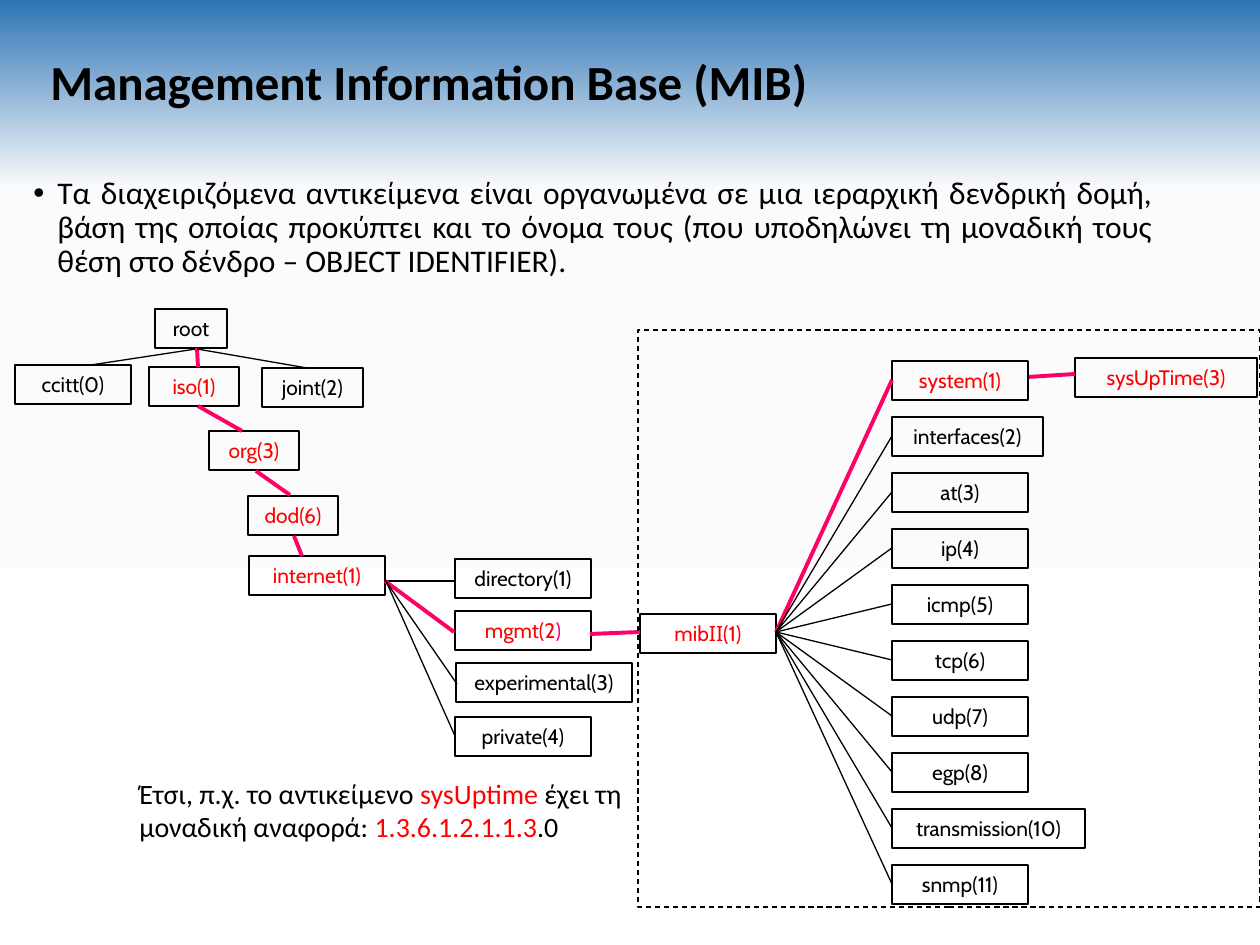
from copy import deepcopy
from dataclasses import dataclass

from lxml.etree import SubElement
from pptx import Presentation
from pptx.dml.color import RGBColor
from pptx.enum.dml import MSO_LINE
from pptx.enum.shapes import MSO_CONNECTOR, MSO_SHAPE
from pptx.enum.text import MSO_ANCHOR, PP_ALIGN
from pptx.oxml.ns import qn
from pptx.util import Emu, Pt

BLACK = RGBColor(0x00, 0x00, 0x00)
RED = RGBColor(0xFF, 0x00, 0x00)
PINK = RGBColor(0xFF, 0x00, 0x66)
SKY_BLUE = RGBColor(0x2E, 0x75, 0xB6)
PALE_GREY = RGBColor(0xFB, 0xFB, 0xFB)
WHITE = RGBColor(0xFF, 0xFF, 0xFF)
EMU_PER_PX = 914400 / 126
NODE_HEIGHT = 39


@dataclass(frozen=True)
class Span:
    text: str
    color: RGBColor = BLACK


@dataclass(frozen=True)
class Node:
    left: int
    top: int
    width: int
    spans: tuple[Span, ...]


@dataclass(frozen=True)
class Link:
    start: tuple[int, int]
    end: tuple[int, int]
    on_path: bool = False


def px(*lengths: int) -> list[Emu]:
    return [Emu(round(length * EMU_PER_PX)) for length in lengths]


def node(left: int, top: int, width: int, text: str, color: RGBColor = BLACK) -> Node:
    return Node(left, top, width, (Span(text, color),))


def write_spans(paragraph, spans, size: int, font: str, bold: bool = False) -> None:
    for span in spans:
        run = paragraph.add_run()
        run.text = span.text
        run.font.size = Pt(size)
        run.font.name = font
        run.font.bold = bold
        run.font.color.rgb = span.color


def add_text(page, area, spans, size: int, bold: bool = False):
    frame = page.shapes.add_textbox(*px(*area)).text_frame
    frame.word_wrap = True
    write_spans(frame.paragraphs[0], spans, size, "Calibri", bold)
    return frame


def add_outline(page, area):
    box = page.shapes.add_shape(MSO_SHAPE.RECTANGLE, *px(*area))
    box.shadow.inherit = False
    box.fill.background()
    box.line.color.rgb = BLACK
    box.line.width = Pt(0.75)
    return box


def add_node(page, item: Node) -> None:
    box = add_outline(page, (item.left, item.top, item.width, NODE_HEIGHT))
    frame = box.text_frame
    frame.word_wrap = False
    frame.vertical_anchor = MSO_ANCHOR.MIDDLE
    paragraph = frame.paragraphs[0]
    paragraph.alignment = PP_ALIGN.CENTER
    write_spans(paragraph, item.spans, 12, "Cabin")


def add_link(page, link: Link) -> None:
    line = page.shapes.add_connector(MSO_CONNECTOR.STRAIGHT, *px(*link.start, *link.end))
    line.line.color.rgb = PINK if link.on_path else BLACK
    line.line.width = Pt(2.25 if link.on_path else 0.75)
    SubElement(line._element.spPr, qn("a:effectLst"))


def paint_background(page) -> None:
    fill = page.background.fill
    fill.gradient()
    fill.gradient_angle = 270
    first = fill.gradient_stops[0]._gs
    first.addnext(deepcopy(first))
    stops = zip(fill.gradient_stops, (0, 0.2, 1), (SKY_BLUE, PALE_GREY, WHITE))
    for stop, position, color in stops:
        stop.position = position
        stop.color.rgb = color


def add_bullet(paragraph, indent: int) -> None:
    properties = paragraph._p.get_or_add_pPr()
    properties.set("marL", str(px(indent)[0]))
    properties.set("indent", str(px(-indent)[0]))
    SubElement(properties, qn("a:buFont"), typeface="Arial")
    SubElement(properties, qn("a:buChar"), char="•")


TREE_NODES = [
    node(155, 309, 72, "root"),
    node(15, 365, 116, "ccitt(0)"),
    node(149, 367, 90, "iso(1)", RED),
    node(262, 368, 101, "joint(2)"),
    node(209, 431, 90, "org(3)", RED),
    node(248, 496, 90, "dod(6)", RED),
    node(249, 556, 136, "internet(1)", RED),
    node(455, 559, 136, "directory(1)"),
    Node(455, 611, 136, (Span("mgmt(2", RED), Span(")", PINK))),
    node(456, 663, 176, "experimental(3)"),
    node(455, 717, 136, "private(4)"),
    node(640, 614, 136, "mibΙΙ(1)", RED),
    node(1075, 358, 182, "sysUpTime(3)", RED),
]
TREE_LINKS = [
    Link((196, 349), (91, 365)),
    Link((197, 348), (198, 367), True),
    Link((197, 349), (307, 368)),
    Link((198, 406), (242, 431), True),
    Link((256, 471), (290, 495), True),
    Link((294, 536), (302, 556), True),
    Link((385, 581), (456, 581)),
    Link((385, 581), (454, 632), True),
    Link((385, 580), (457, 684)),
    Link((386, 581), (455, 736)),
    Link((590, 634), (640, 632), True),
    Link((1028, 377), (1075, 374), True),
]
MIB_GROUPS = [
    ("system(1)", 136), ("interfaces(2)", 151), ("at(3)", 136), ("ip(4)", 136),
    ("icmp(5)", 136), ("tcp(6)", 136), ("udp(7)", 136), ("egp(8)", 136),
    ("transmission(10)", 193), ("snmp(11)", 136),
]
MIB_LEFT, MIB_TOP, MIB_STEP = 892, 361, 56
MIB_ORIGIN = (776, 632)


def main() -> None:
    deck = Presentation()
    deck.slide_width, deck.slide_height = px(1260, 945)
    page = deck.slides.add_slide(deck.slide_layouts[6])
    paint_background(page)

    title = add_text(page, (38, 1, 1222, 168), [Span("Management Information Base (MIB)")], 28, True)
    title.vertical_anchor = MSO_ANCHOR.MIDDLE
    title.paragraphs[0].line_spacing = 0.9

    body = add_text(page, (21, 171, 1144, 669), [Span(
        "Τα διαχειριζόμενα αντικείμενα είναι οργανωμένα σε μια ιεραρχική δενδρική δομή, "
        "βάση της οποίας προκύπτει και το όνομα τους (που υποδηλώνει τη μοναδική τους "
        "θέση στο δένδρο – OBJECT IDENTIFIER).")], 18)
    paragraph = body.paragraphs[0]
    paragraph.alignment = PP_ALIGN.JUSTIFY
    paragraph.line_spacing = 0.9
    paragraph.space_before = Pt(7.5)
    add_bullet(paragraph, 24)

    for item in TREE_NODES:
        add_node(page, item)
    for link in TREE_LINKS:
        add_link(page, link)
    for index, (label, width) in enumerate(MIB_GROUPS):
        top = MIB_TOP + index * MIB_STEP
        on_path = index == 0
        add_node(page, node(MIB_LEFT, top, width, label, RED if on_path else BLACK))
        add_link(page, Link(MIB_ORIGIN, (MIB_LEFT, top + NODE_HEIGHT // 2), on_path))

    add_text(page, (127, 770, 534, 81), [
        Span("Έτσι, π.χ. το αντικείμενο "), Span("sysUptime ", RED),
        Span("έχει τη μοναδική αναφορά: "), Span("1.3.6.1.2.1.1.3", RED), Span(".0"),
    ], 16)
    frame = add_outline(page, (638, 330, 622, 577))
    frame.line.dash_style = MSO_LINE.DASH

    deck.save("out.pptx")


if __name__ == "__main__":
    main()
